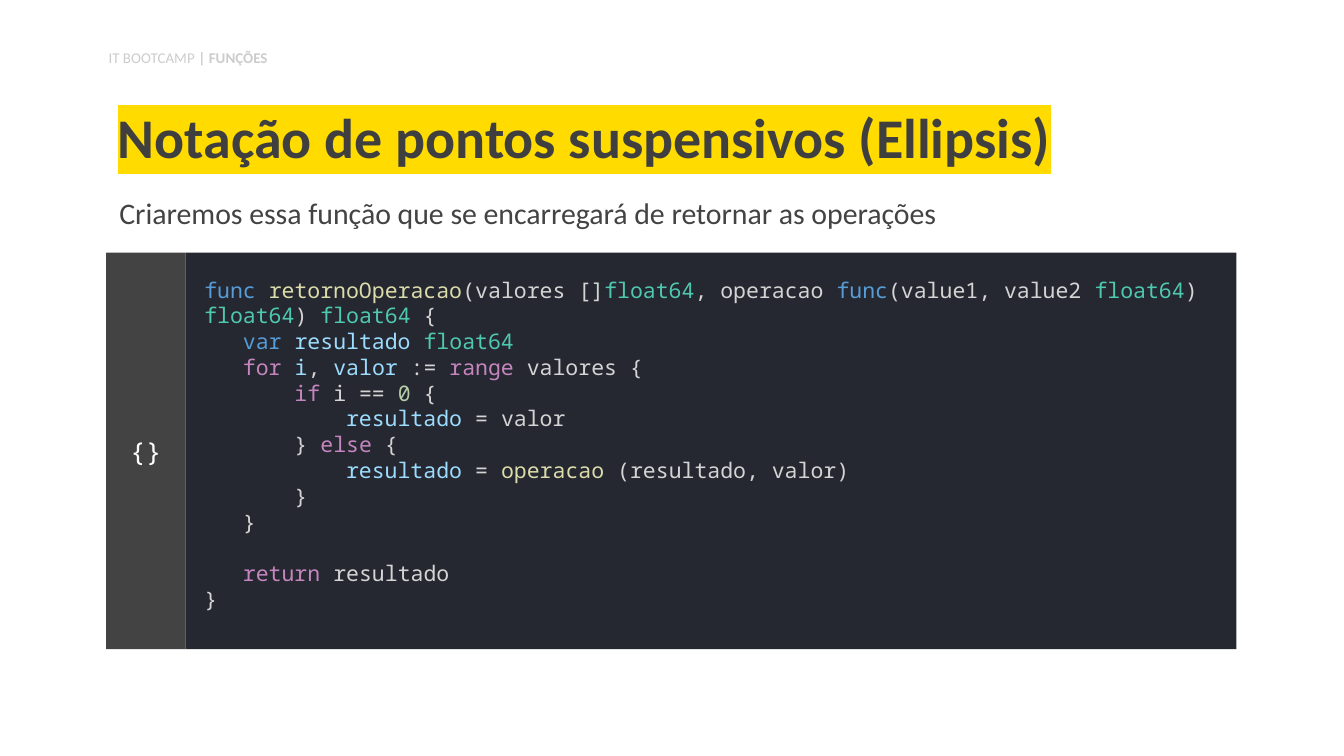
from lxml import etree
from pptx import Presentation
from pptx.dml.color import RGBColor
from pptx.enum import shapes, text
from pptx.oxml.ns import qn
from pptx.util import Inches, Pt

THEME = {
    "sans": "Calibri", "mono": "Noto Sans Mono",
    "head": 30, "lead": 16, "code": 11.5, "icon": 14, "tag": 8,
    "ink": "3F3F3F", "gray": "434343", "pale": "CCCCCC", "white": "FFFFFF",
    "mark": "FFDB00", "dark": "262831",
    "key": "569CD6", "call": "DCDCAA", "text": "D4D4D4", "type": "4EC9B0",
    "name": "9CDCFE", "flow": "C586C0", "num": "B5CEA8",
}

TAG = [[("pale", "IT BOOTCAMP"), ("pale", " | FUNÇÕES", True)]]
HEAD = [[("ink", "Notação de pontos suspensivos (Ellipsis)", True)]]
LEAD = [[("gray", "Criaremos essa função que se encarregará de retornar as operações")]]
ICON = [[("white", "{}")]]
CODE = [
    [("key", "func "), ("call", "retornoOperacao"), ("text", "(valores []"),
     ("type", "float64"), ("text", ", operacao "), ("key", "func"),
     ("text", "(value1, value2 "), ("type", "float64"), ("text", ") "),
     ("type", "float64"), ("text", ") "), ("type", "float64"), ("text", " {")],
    [("key", "   var "), ("name", "resultado "), ("type", "float64")],
    [("flow", "   for "), ("name", "i"), ("text", ", "), ("name", "valor"),
     ("text", " := "), ("flow", "range"), ("text", " valores {")],
    [("flow", "       if"), ("text", " i == "), ("num", "0"), ("text", " {")],
    [("name", "           resultado"), ("text", " = valor")],
    [("text", "       } "), ("flow", "else"), ("text", " {")],
    [("name", "           resultado"), ("text", " = "), ("call", "operacao "),
     ("text", "(resultado, valor)")],
    [("text", "       }")],
    [("text", "   }")],
    [("flow", "   return"), ("text", " resultado")],
    [("text", "}")],
]
GAP_ROW, GAP = 9, Pt(13.8)

WIDE = 10
HIGH = WIDE * 9 / 16
LEFT, TOP, TALL = 0.79, 1.88, 2.95
SIDE, MAIN = 0.59, 7.82


def color(key):
    return RGBColor.from_string(THEME[key])


def write(shape, rows, face, size, pad, frame={}, para={}):
    box = shape.text_frame
    sides = ("margin_left", "margin_top", "margin_right", "margin_bottom")
    edges = {side: Inches(n) for side, n in zip(sides, pad)}
    for key, val in {"word_wrap": True, **edges, **frame}.items():
        setattr(box, key, val)
    for i, row in enumerate(rows):
        line = box.paragraphs[0] if i == 0 else box.add_paragraph()
        for key, val in {"alignment": text.PP_ALIGN.LEFT, **para}.items():
            setattr(line, key, val)
        for tint, words, *bold in row:
            run = line.add_run()
            run.text = words
            look = {"name": THEME[face], "size": Pt(THEME[size]), "bold": bool(bold)}
            for key, val in look.items():
                setattr(run.font, key, val)
            run.font.color.rgb = color(tint)
    return box.paragraphs


def label(slide, at, *args, **form):
    return write(slide.shapes.add_textbox(*map(Inches, at)), *args, **form)


def panel(group, at, fill, *args, **form):
    rect = group.shapes.add_shape(shapes.MSO_SHAPE.RECTANGLE, *map(Inches, at))
    rect.shadow.inherit = False
    rect.fill.solid()
    rect.fill.fore_color.rgb = color(fill)
    rect.line.fill.background()
    mid = {"vertical_anchor": text.MSO_ANCHOR.MIDDLE}
    return write(rect, *args, frame=mid, **form)


def shade(run, key):
    mark = etree.Element(qn("a:highlight"))
    etree.SubElement(mark, qn("a:srgbClr"), val=THEME[key])
    run.font.fill._xPr.find(qn("a:solidFill")).addnext(mark)


def main():
    deck = Presentation()
    deck.slide_width, deck.slide_height = Inches(WIDE), Inches(HIGH)
    slide = deck.slides.add_slide(deck.slide_layouts[6])
    even = (0.1,) * 4

    label(slide, (LEFT, 1.31, 8.43, 0.5), LEAD, "sans", "lead", even,
          para={"line_spacing": 1.15})

    group = slide.shapes.add_group_shape()
    lines = panel(group, (LEFT + SIDE, TOP, MAIN, TALL), "dark",
                  CODE, "mono", "code", (0.14, 0, 0.1, 0.1))
    lines[GAP_ROW].space_before = GAP
    panel(group, (LEFT, TOP, SIDE, TALL), "gray", ICON, "mono", "icon", even,
          para={"alignment": text.PP_ALIGN.CENTER})

    head = label(slide, (0.78, 0.68, 8.43, 0.69), HEAD, "sans", "head", even,
                 frame={"vertical_anchor": text.MSO_ANCHOR.BOTTOM},
                 para={"line_spacing": 0.9})
    shade(head[0].runs[0], "mark")
    label(slide, (0.71, 0.31, 3.14, 0.27), TAG, "sans", "tag", (0.1, 0.05, 0.1, 0.05),
          para={"space_after": Pt(12)})

    deck.save("out.pptx")


if __name__ == "__main__":
    main()
